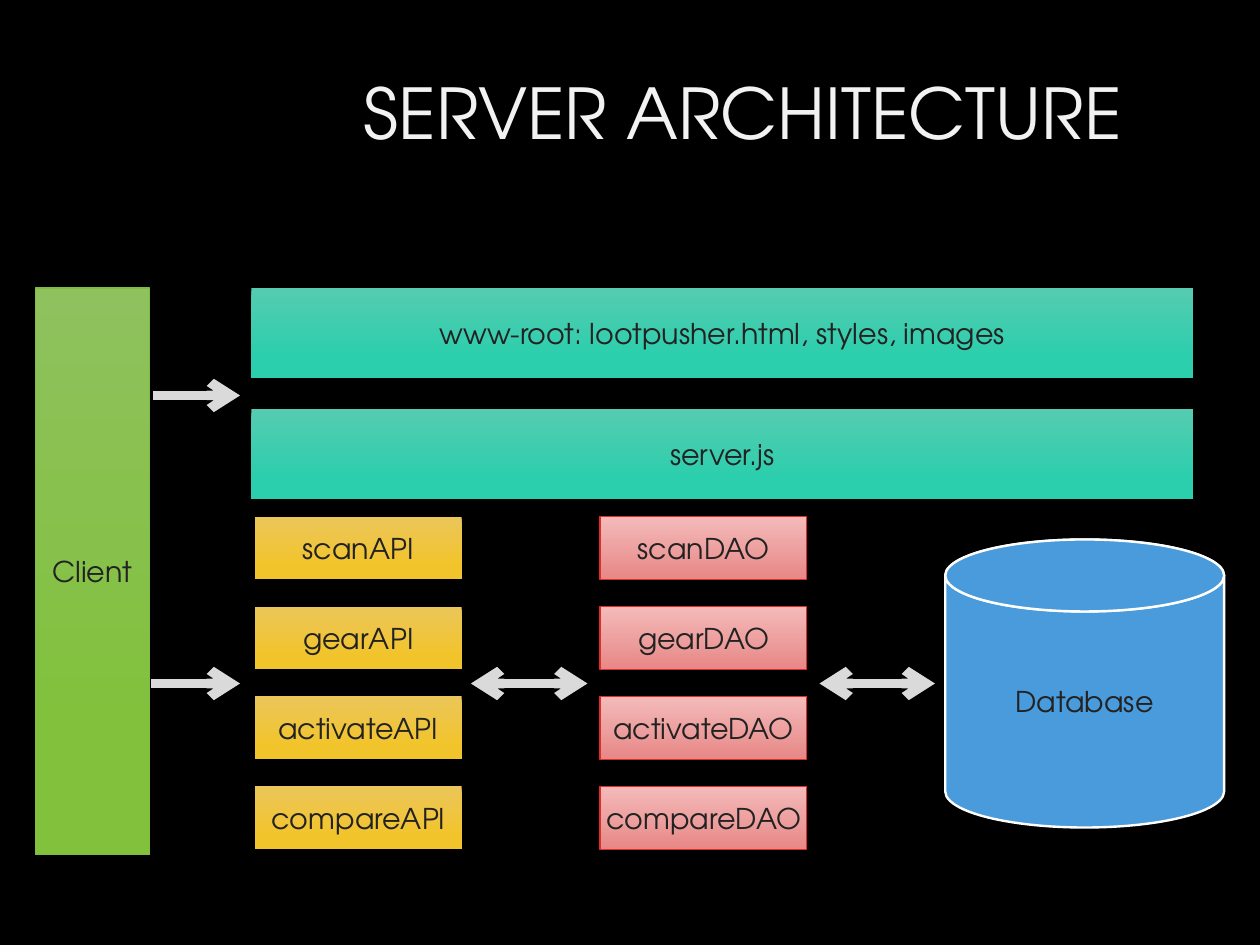
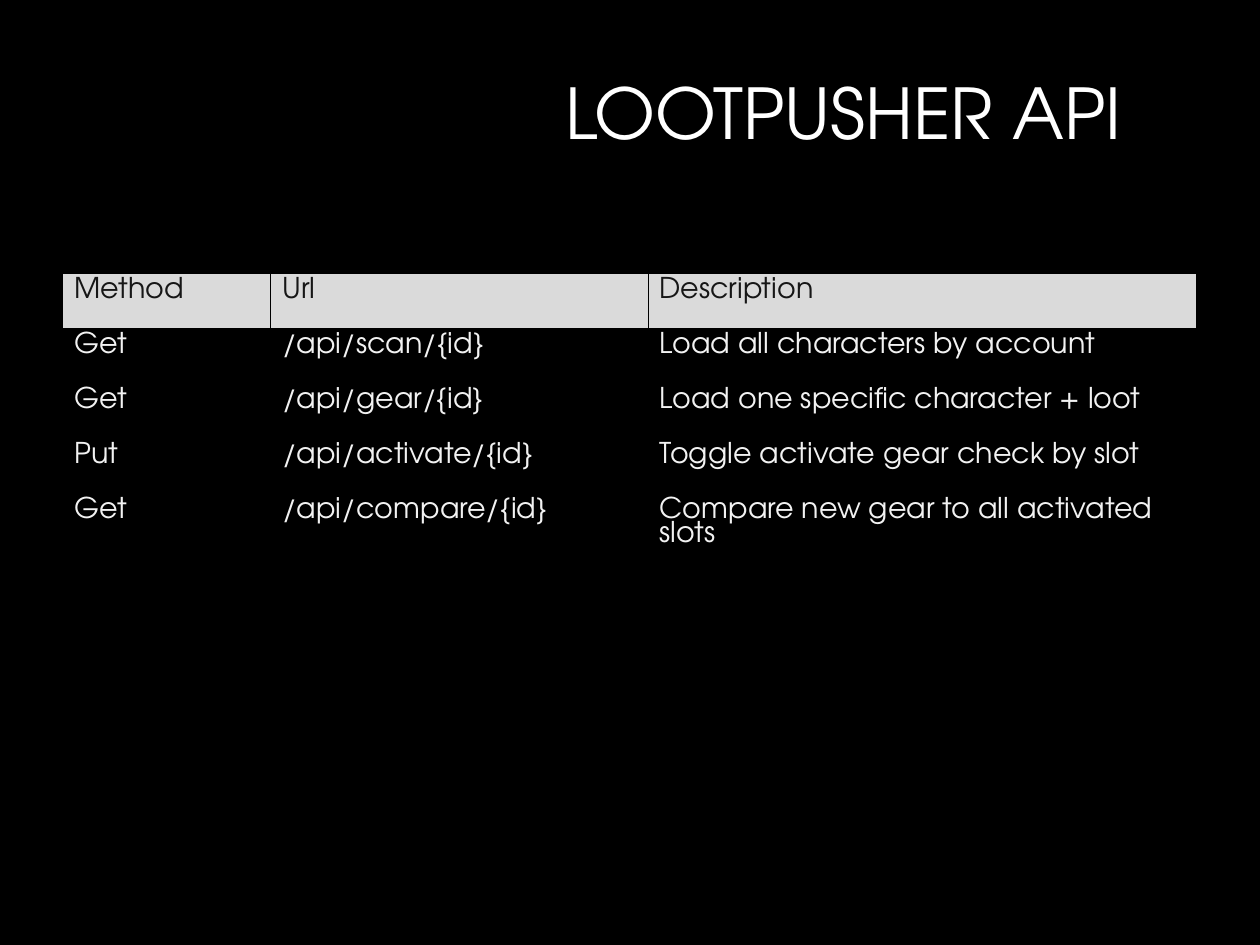
import pptx
import pptx.util
import pptx.dml.color
import pptx.enum.shapes
import pptx.enum.text
import pptx.oxml
import pptx.oxml.ns

Inches, Pt, Cm = pptx.util.Inches, pptx.util.Pt, pptx.util.Cm
SHAPE = pptx.enum.shapes.MSO_SHAPE
ALIGN = pptx.enum.text.PP_ALIGN
ANCHOR = pptx.enum.text.MSO_ANCHOR

FONT = "TeX Gyre Adventor"
BLACK, WHITE, LIGHT, GREY = "000000", "FFFFFF", "F2F2F2", "DADADA"
LABEL, HEADER_TEXT, BLUE = "222222", "161616", "4A9BDC"
GREEN = ("8FC15E", "81C13C", 0.78)
TEAL = ("55CCB1", "2BCEAD", 0.78)
YELLOW = ("EBC659", "F2C42C", 0.78)
PINK = ("F3BAB9", "E78887", 1)

API_ROWS = [
    ("Method", "Url", "Description"),
    ("Get", "/api/scan/{id}", "Load all characters by account"),
    ("Get", "/api/gear/{id}", "Load one specific character + loot"),
    ("Put", "/api/activate/{id}", "Toggle activate gear check by slot"),
    ("Get", "/api/compare/{id}", "Compare new gear to all activated slots"),
]


def rgb(color):
    return pptx.dml.color.RGBColor.from_string(color)


def set_attrs(obj, values):
    for name, value in values.items():
        setattr(obj, name, value)


def write(tf, text, size, color, **paragraph_format):
    p = tf.paragraphs[0]
    set_attrs(p, paragraph_format)
    r = p.add_run()
    r.text = text
    set_attrs(r.font, {"name": FONT, "size": Pt(size), "bold": False})
    r.font.color.rgb = rgb(color)


def add_slide(prs, title, color):
    s = prs.slides.add_slide(prs.slide_layouts[5])
    sp = s.shapes.title
    set_attrs(sp, {"left": Inches(0), "top": Inches(0.33),
                   "width": Inches(9.92), "height": Inches(1.38)})
    set_attrs(sp.text_frame, {"vertical_anchor": ANCHOR.MIDDLE, "word_wrap": True,
                              "auto_size": pptx.enum.text.MSO_AUTO_SIZE.NONE})
    write(sp.text_frame, title, 44.1, color, alignment=ALIGN.RIGHT, line_spacing=0.9)
    return s


def add_block(s, kind, box, fill, text="", line=None, line_width=0.75):
    """Add a labelled shape; fill is a colour or (top, bottom, bottom position)."""
    sp = s.shapes.add_shape(kind, *map(Inches, box))
    sp.shadow.inherit = False
    if isinstance(fill, str):
        sp.fill.solid()
        sp.fill.fore_color.rgb = rgb(fill)
    else:
        sp.fill.gradient()
        sp.fill.gradient_angle = 270
        top, bottom, end = fill
        for stop, color, position in zip(sp.fill.gradient_stops, (top, bottom), (0, end)):
            stop.color.rgb = rgb(color)
            stop.position = position
    if line:
        sp.line.color.rgb = rgb(line)
        sp.line.width = Pt(line_width)
    else:
        sp.line.fill.background()
    if text:
        set_attrs(sp.text_frame, {"word_wrap": False, "vertical_anchor": ANCHOR.MIDDLE})
        write(sp.text_frame, text, 18, LABEL, alignment=ALIGN.CENTER)
    return sp


def add_arrow(s, x1, x2, y, both_ways=False):
    c = s.shapes.add_connector(pptx.enum.shapes.MSO_CONNECTOR.STRAIGHT,
                               *map(Inches, (x1, y, x2, y)))
    c.line.color.rgb = rgb(GREY)
    c.line.width = Pt(6)
    ln = c.line._get_or_add_ln()
    for end in ("a:headEnd", "a:tailEnd") if both_ways else ("a:tailEnd",):
        ln.append(pptx.oxml.parse_xml(
            f'<{end} {pptx.oxml.ns.nsdecls("a")} type="arrow"/>'))
    c._element.spPr.append(pptx.oxml.parse_xml(
        f'<a:effectLst {pptx.oxml.ns.nsdecls("a")}/>'))


def add_database(s, left, top, width, height, lid):
    can = add_block(s, SHAPE.CAN, (left, top, width, height), BLUE, "Database", WHITE, 1.5)
    can.adjustments[0] = lid / min(width, height)
    add_block(s, SHAPE.OVAL, (left, top, width, lid), BLUE, line=WHITE, line_width=1.5)


def set_borders(cell, color):
    tc_pr = cell._tc.get_or_add_tcPr()
    for i, side in enumerate(("lnL", "lnR", "lnT", "lnB")):
        tc_pr.insert(i, pptx.oxml.parse_xml(
            f'<a:{side} {pptx.oxml.ns.nsdecls("a")} w="9525"><a:solidFill>'
            f'<a:srgbClr val="{color}"/></a:solidFill></a:{side}>'))


def add_grid(s, left, top, widths, row_height, rows):
    table = s.shapes.add_table(len(rows), len(widths), Inches(left), Inches(top),
                               Inches(sum(widths)), Inches(row_height * len(rows))).table
    set_attrs(table, {"first_row": False, "horz_banding": False})
    for column, width in zip(table.columns, widths):
        column.width = Inches(width)
    for i, row in enumerate(rows):
        fill, color = (BLACK, LIGHT) if i else (GREY, HEADER_TEXT)
        for j, text in enumerate(row):
            cell = table.cell(i, j)
            cell.fill.solid()
            cell.fill.fore_color.rgb = rgb(fill)
            set_borders(cell, BLACK)
            write(cell.text_frame, text, 18, color, line_spacing=0.93)


def build_architecture(prs):
    s = add_slide(prs, "SERVER ARCHITECTURE", LIGHT)
    add_block(s, SHAPE.RECTANGLE, (0.31, 2.52, 1, 4.96), GREEN, "Client", "81BB42")
    for i, text in enumerate(("www-root: lootpusher.html, styles, images", "server.js")):
        add_block(s, SHAPE.RECTANGLE, (2.2, 2.52 + 1.06 * i, 8.24, 0.79), TEAL, text)
    names = ("scan", "gear", "activate", "compare")
    first_top, last_top = 4.52, 6.88
    pitch = (last_top - first_top) / (len(names) - 1)
    for i, name in enumerate(names):
        for left, suffix, fill, line in ((2.23, "API", YELLOW, None),
                                         (5.25, "DAO", PINK, "DF2E28")):
            add_block(s, SHAPE.RECTANGLE, (left, first_top + pitch * i, 1.81, 0.55),
                      fill, name + suffix, line)
    add_database(s, 8.27, 4.72, 2.44, 2.52, lid=0.63)
    add_arrow(s, 1.34, 2.1, 3.46)
    add_arrow(s, 1.32, 2.1, 5.98)
    add_arrow(s, 4.12, 5.14, 5.98, both_ways=True)
    add_arrow(s, 7.17, 8.18, 5.98, both_ways=True)


def build_api(prs):
    s = add_slide(prs, "LOOTPUSHER API", WHITE)
    add_grid(s, 0.55, 2.39, (1.82, 3.3, 4.8), 0.48, API_ROWS)


def main():
    prs = pptx.Presentation()
    set_attrs(prs, {"slide_width": Cm(28), "slide_height": Cm(21)})
    background = prs.slide_master.background.fill
    background.solid()
    background.fore_color.rgb = rgb(BLACK)
    build_architecture(prs)
    build_api(prs)
    prs.save("out.pptx")


if __name__ == "__main__":
    main()
